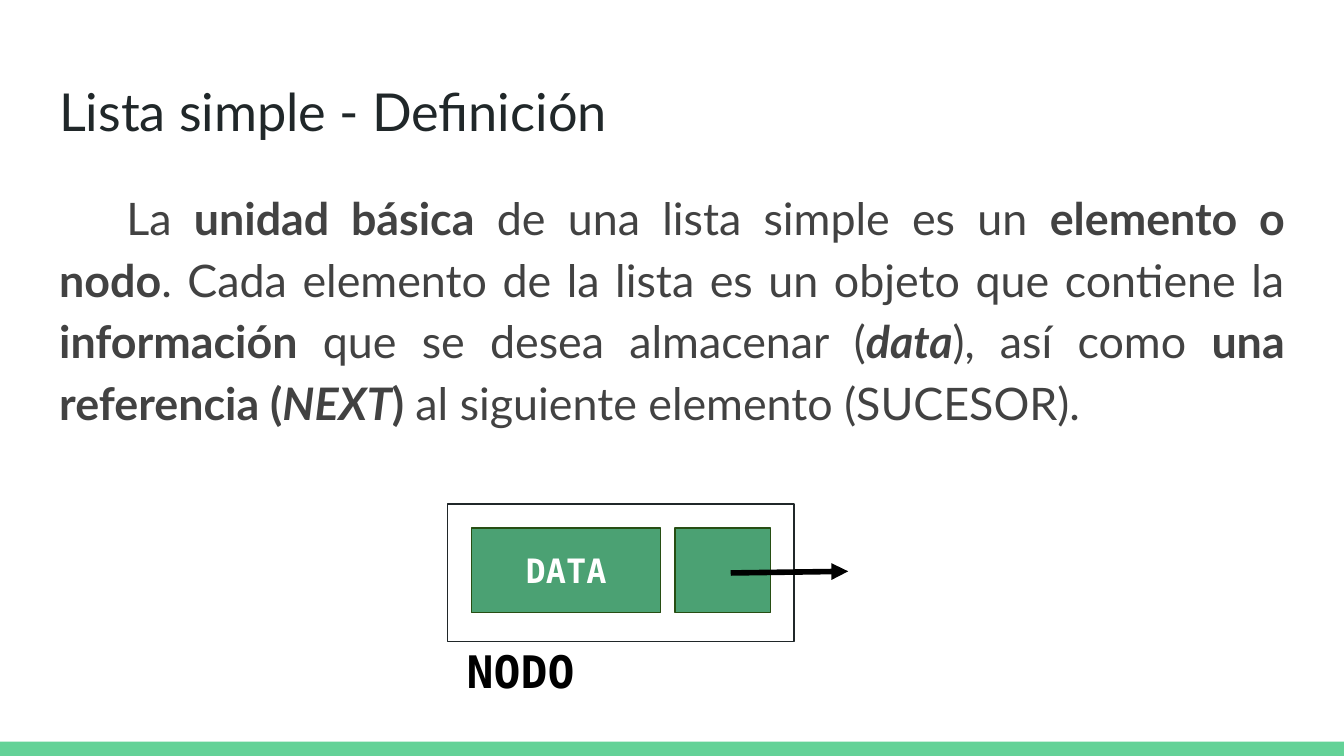
from lxml.etree import SubElement
from pptx import Presentation
from pptx.dml.color import RGBColor
from pptx.enum.shapes import MSO_CONNECTOR, MSO_SHAPE
from pptx.enum.text import MSO_ANCHOR, PP_ALIGN
from pptx.oxml.ns import qn
from pptx.util import Cm, Pt

COLORS = {
    "bar": "63D297",
    "ink": "202729",
    "body": "424242",
    "cell": "4BA173",
    "cell_line": "274E13",
    "white": "FFFFFF",
    "black": "000000",
}
SANS = "Lato"
MONO = "DejaVu Sans Mono"
INSET = 0.25


def color(name):
    return RGBColor.from_string(COLORS[name])


def add_rectangle(page, left, top, width, height, fill, line=None):
    box = page.shapes.add_shape(
        MSO_SHAPE.RECTANGLE, Cm(left), Cm(top), Cm(width), Cm(height))
    box.shadow.inherit = False
    box.fill.solid()
    box.fill.fore_color.rgb = color(fill)
    if line:
        box.line.color.rgb = color(line)
        box.line.width = Pt(0.75)
    else:
        box.line.fill.background()
    return box


def add_text_box(page, left, top, width, height):
    return page.shapes.add_textbox(Cm(left), Cm(top), Cm(width), Cm(height))


def write(box, spans, size, font, ink, align=PP_ALIGN.LEFT, anchor=MSO_ANCHOR.TOP):
    frame = box.text_frame
    frame.word_wrap = True
    frame.vertical_anchor = anchor
    frame.margin_left = frame.margin_right = Cm(INSET)
    frame.margin_top = frame.margin_bottom = Cm(INSET)
    para = frame.paragraphs[0]
    para.alignment = align
    for text, style in spans:
        span = para.add_run()
        span.text = text
        span.font.name = font
        span.font.size = Pt(size)
        span.font.color.rgb = color(ink)
        span.font.bold = "b" in style
        span.font.italic = "i" in style
    return para


def add_title(page, left, top, width, height):
    box = add_text_box(page, left, top, width, height)
    write(box, [("Lista simple - Definición", "")], 28, SANS, "ink")


def add_definition(page, left, top, width, height):
    spans = [
        ("La ", ""),
        ("unidad básica", "b"),
        (" de una lista simple es un ", ""),
        ("elemento o nodo", "b"),
        (". Cada elemento de la lista es un objeto que contiene la ", ""),
        ("información", "b"),
        (" que se desea almacenar (", ""),
        ("data", "bi"),
        ("), así como ", ""),
        ("una referencia (", "b"),
        ("NEXT", "bi"),
        (")", "b"),
        (" al siguiente elemento (SUCESOR).", ""),
    ]
    box = add_text_box(page, left, top, width, height)
    para = write(box, spans, 24, SANS, "body", PP_ALIGN.JUSTIFY)
    para.line_spacing = 1.15
    para.space_before = para.space_after = Pt(16)
    para._p.get_or_add_pPr().set("indent", str(Cm(1.27)))


def add_arrow(page, start_x, start_y, end_x, end_y):
    arrow = page.shapes.add_connector(
        MSO_CONNECTOR.STRAIGHT, Cm(start_x), Cm(start_y), Cm(end_x), Cm(end_y))
    arrow.line.color.rgb = color("black")
    arrow.line.width = Pt(3)
    SubElement(arrow.line._get_or_add_ln(), qn("a:tailEnd"), type="triangle")
    SubElement(arrow._element.spPr, qn("a:effectLst"))


def add_node(page, left, top, width, height):
    centered = {"align": PP_ALIGN.CENTER, "anchor": MSO_ANCHOR.MIDDLE}
    pad, data_width, next_width, cell_height = 0.45, 3.58, 1.8, 1.6
    cell_top = top + pad
    next_left = left + width - pad - next_width
    add_rectangle(page, left, top, width, height, "white", "ink")
    data = add_rectangle(
        page, left + pad, cell_top, data_width, cell_height, "cell", "cell_line")
    write(data, [("DATA", "b")], 18, MONO, "white", **centered)
    add_rectangle(
        page, next_left, cell_top, next_width, cell_height, "cell", "cell_line")
    add_arrow(page, next_left + 1.05, top + 1.3, left + width + 1.02, top + 1.27)
    label = add_text_box(page, left - 0.41, top + height + 0.03, data_width, 1.04)
    write(label, [("NODO", "b")], 24, MONO, "black", **centered)


def main():
    deck = Presentation()
    deck.slide_width, deck.slide_height = Cm(25.4), Cm(14.29)
    page = deck.slides.add_slide(deck.slide_layouts[6])
    add_rectangle(page, 0, 14.02, 25.4, 0.27, "bar")
    add_title(page, 0.87, 1.24, 23.66, 1.6)
    add_definition(page, 0.87, 3.2, 23.66, 5.44)
    add_node(page, 8.46, 9.53, 6.55, 2.6)
    deck.save("out.pptx")


if __name__ == "__main__":
    main()
